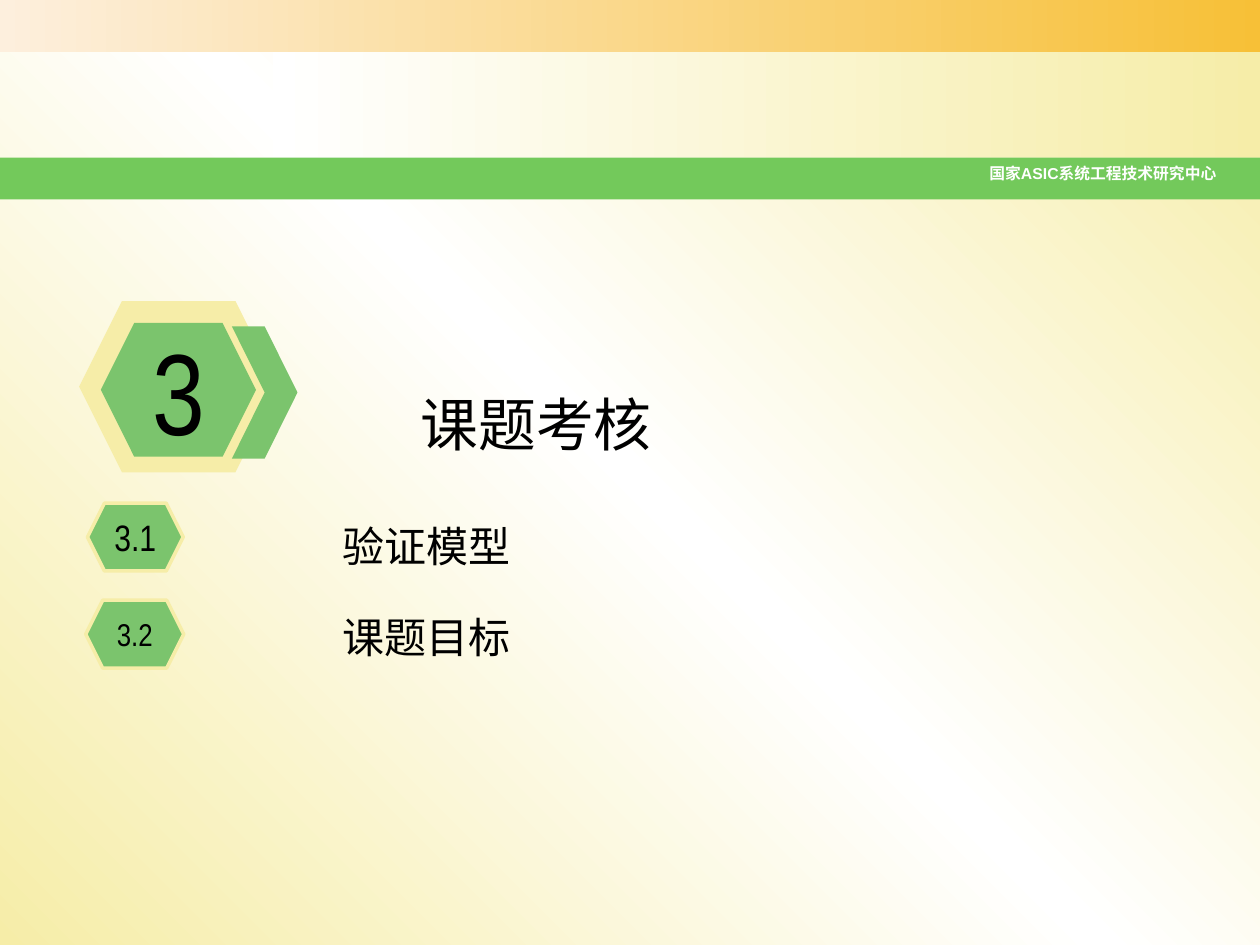
from copy import deepcopy

from lxml import etree
from pptx import Presentation
from pptx.dml.color import RGBColor
from pptx.enum.shapes import MSO_SHAPE
from pptx.enum.text import MSO_ANCHOR, PP_ALIGN
from pptx.oxml.ns import qn
from pptx.util import Pt

RECT, HEXAGON, CHEVRON = MSO_SHAPE.RECTANGLE, MSO_SHAPE.HEXAGON, MSO_SHAPE.CHEVRON
LEFT, CENTER, RIGHT = PP_ALIGN.LEFT, PP_ALIGN.CENTER, PP_ALIGN.RIGHT
MIDDLE = MSO_ANCHOR.MIDDLE

BLACK = RGBColor(0x00, 0x00, 0x00)
WHITE = RGBColor(0xFF, 0xFF, 0xFF)
CREAM = RGBColor(0xF6, 0xED, 0xA8)
PEACH = RGBColor(0xFD, 0xEF, 0xDD)
AMBER = RGBColor(0xF7, 0xC0, 0x37)
BAND_GREEN = RGBColor(0x73, 0xC9, 0x5B)
GREEN = RGBColor(0x7B, 0xC4, 0x6D)
CJK = "Noto Sans CJK SC"

prs = Presentation()
prs.slide_width, prs.slide_height = Pt(720), Pt(540)
s = prs.slides.add_slide(prs.slide_layouts[6])


def add_shape(kind, box, colors, border=None):
    sp = s.shapes.add_shape(kind, *map(Pt, box))
    sp.shadow.inherit = False
    if len(colors) == 2:
        sp.fill.gradient()
        sp.fill.gradient_angle = 0
        for stop, color in zip(sp.fill.gradient_stops, colors):
            stop.color.rgb = color
    else:
        sp.fill.solid()
        sp.fill.fore_color.rgb = colors[0]
    if border:
        sp.line.color.rgb = border
        sp.line.width = Pt(2)
    else:
        sp.line.fill.background()
    return sp


def set_text(p, text, size, font=CJK, color=BLACK, align=LEFT, bold=False):
    p.text = text
    p.alignment = align
    f = p.font
    f.size, f.name, f.bold = Pt(size), font, bold
    f.color.rgb = color
    latin = p._p.find(".//" + qn("a:latin"))
    ea = etree.Element(qn("a:ea"), typeface=CJK)
    latin.addnext(ea)


# Background: cream corners with a white diagonal
fill = s.background.fill
fill.gradient()
fill.gradient_angle = 45
gs_list = s.element.find(".//" + qn("a:gsLst"))
gs_list.insert(1, deepcopy(gs_list[0]))
for stop, pos, color in zip(fill.gradient_stops, (0, 0.5, 1), (CREAM, WHITE, CREAM)):
    stop.position = pos
    stop.color.rgb = color

# Header bands
add_shape(RECT, (0, 0, 720, 30), (PEACH, AMBER))
add_shape(RECT, (156, 30, 564, 60), (WHITE, CREAM))
add_shape(RECT, (0, 90, 720, 24), (BAND_GREEN,))
tb = s.shapes.add_textbox(Pt(36), Pt(90), Pt(666), Pt(18.5))
tb.text_frame.word_wrap = True
set_text(tb.text_frame.paragraphs[0], "国家ASIC系统工程技术研究中心", 9, "Arial", WHITE, RIGHT, True)

# Number badges
add_shape(HEXAGON, (45.2, 172, 113.8, 98), (CREAM,))
for label, size, box, border in (
    ("3", 66, (57.6, 184.5, 88.7, 76.5), None),
    ("3.1", 21, (50, 287.5, 54.7, 38.8), CREAM),
    ("3.2", 18, (49, 343, 56, 38.8), CREAM),
):
    sp = add_shape(HEXAGON, box, (GREEN,), border)
    tf = sp.text_frame
    tf.vertical_anchor = MIDDLE
    tf.word_wrap = False
    set_text(tf.paragraphs[0], label, size, "Arial Narrow", align=CENTER)
add_shape(CHEVRON, (132.5, 186.5, 37.5, 75.6), (GREEN,))

# Chapter title and section names
for lines, size, box, wrap in (
    (["课题考核"], 33, (233.3, 198.7, 147.6, 67), False),
    (["验证模型", "课题目标"], 24, (188.6, 279.4, 360, 103.7), True),
):
    tf = s.shapes.add_textbox(*map(Pt, box)).text_frame
    tf.word_wrap = wrap
    for i, line in enumerate(lines):
        p = tf.add_paragraph() if i else tf.paragraphs[0]
        set_text(p, line, size)
        p.line_spacing = 1.5
        p.space_before = Pt(9)

prs.save("out.pptx")
